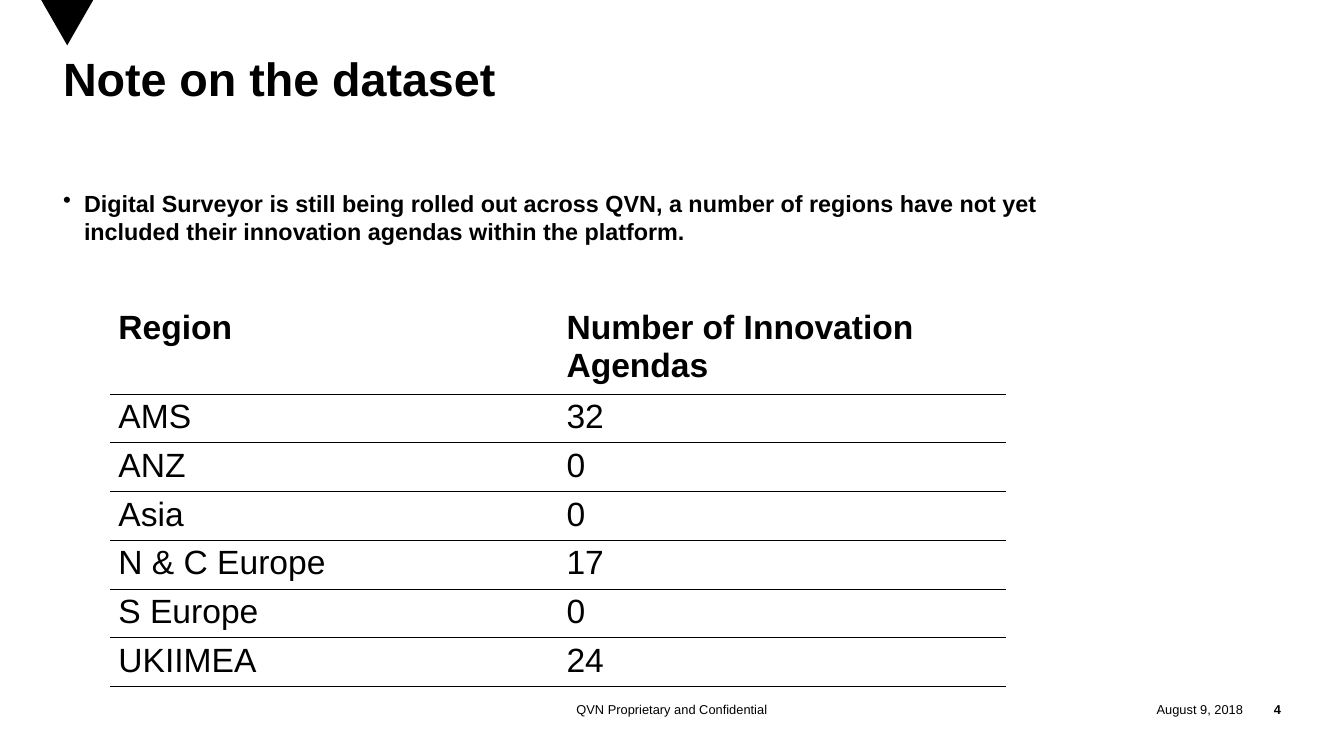
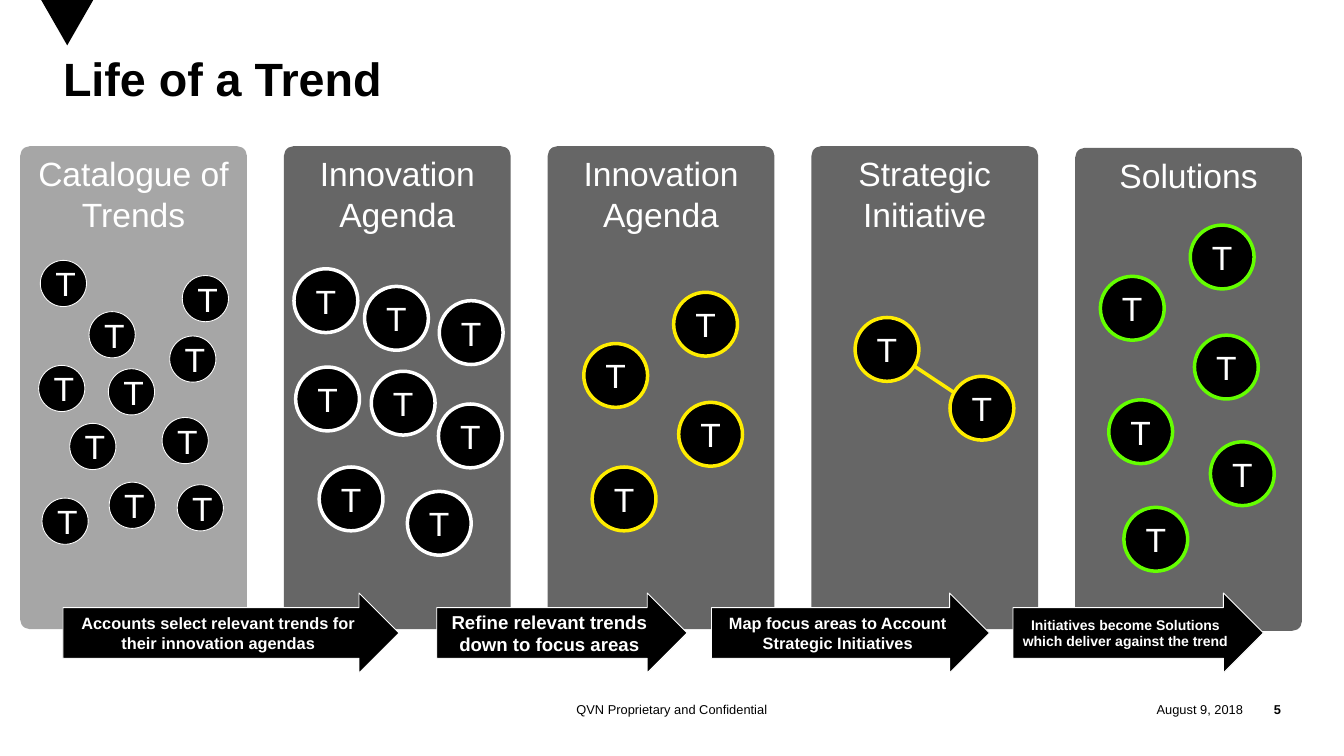
from dataclasses import dataclass

from lxml.etree import SubElement
from pptx import Presentation
from pptx.dml.color import RGBColor
from pptx.enum.shapes import MSO_CONNECTOR, MSO_SHAPE
from pptx.enum.text import MSO_ANCHOR, MSO_AUTO_SIZE, PP_ALIGN
from pptx.oxml.ns import qn
from pptx.util import Inches, Pt


@dataclass(frozen=True)
class Theme:
    font: str = "Arial"
    black: RGBColor = RGBColor(0x00, 0x00, 0x00)
    white: RGBColor = RGBColor(0xFF, 0xFF, 0xFF)
    light_gray: RGBColor = RGBColor(0xA6, 0xA6, 0xA6)
    dark_gray: RGBColor = RGBColor(0x66, 0x66, 0x66)
    yellow: RGBColor = RGBColor(0xFF, 0xED, 0x00)
    green: RGBColor = RGBColor(0x64, 0xFF, 0x00)
    title_size: float = 40
    large_size: float = 28.8
    body_size: float = 20
    footer_size: float = 11


theme = Theme()


def write(frame, text, size, color=theme.black, bold=False,
          align=PP_ALIGN.LEFT, anchor=MSO_ANCHOR.TOP, inset=None):
    frame.word_wrap = True
    frame.vertical_anchor = anchor
    if inset is not None:
        frame.margin_left = frame.margin_right = Inches(inset)
        frame.margin_top = frame.margin_bottom = Inches(inset)
    frame.text = text
    paragraph = frame.paragraphs[0]
    paragraph.alignment = align
    paragraph.font.name = theme.font
    paragraph.font.size = Pt(size)
    paragraph.font.bold = bold
    paragraph.font.color.rgb = color
    return paragraph


def paint(shape, fill, outline=None, width=0.75):
    shape.shadow.inherit = False
    shape.fill.solid()
    shape.fill.fore_color.rgb = fill
    if outline is None:
        shape.line.fill.background()
    else:
        shape.line.color.rgb = outline
        shape.line.width = Pt(width)


prs = Presentation()
prs.slide_width = Inches(16)
prs.slide_height = Inches(9)
title_only = prs.slide_layouts[5]

slides = []
for heading, number in (("Note on the dataset", "4"), ("Life of a Trend", "5")):
    slide = prs.slides.add_slide(title_only)
    slides.append(slide)

    outline = slide.shapes.build_freeform(Inches(0.49), 0, scale=1.0)
    outline.add_line_segments([(Inches(0.8), Inches(0.54)), (Inches(1.11), 0)])
    paint(outline.convert_to_shape(), theme.black)

    title = slide.shapes.title
    title.left, title.top = Inches(0.75), Inches(0.7)
    title.width, title.height = Inches(14.5), Inches(1.55)
    title.text_frame.auto_size = MSO_AUTO_SIZE.NONE
    write(title.text_frame, heading, theme.title_size, bold=True, inset=0).line_spacing = 0.85

    for left, width, text, bold, align in (
        (13.01, 1.79, "August 9, 2018", False, PP_ALIGN.RIGHT),
        (14.8, 0.45, number, True, PP_ALIGN.RIGHT),
        (5.25, 5.5, "QVN Proprietary and Confidential", False, PP_ALIGN.CENTER),
    ):
        footer = slide.shapes.add_textbox(Inches(left), Inches(8.29), Inches(width), Inches(0.3))
        write(footer.text_frame, text, theme.footer_size, bold=bold,
              align=align, anchor=MSO_ANCHOR.MIDDLE, inset=0)

dataset_slide, trend_slide = slides

note = dataset_slide.shapes.add_textbox(Inches(0.75), Inches(2.25), Inches(12.25), Inches(5.6))
bullet = write(
    note.text_frame,
    "Digital Surveyor is still being rolled out across QVN, a number of regions "
    "have not yet included their innovation agendas within the platform.",
    theme.body_size, bold=True, inset=0)
bullet.space_before = Pt(12)
bullet_format = bullet._p.get_or_add_pPr()
bullet_format.set("marL", str(Inches(0.25)))
bullet_format.set("indent", str(Inches(-0.25)))
SubElement(bullet_format, qn("a:buChar"), char="•")

agenda_counts = (
    ("Region", "Number of Innovation Agendas"),
    ("AMS", "32"),
    ("ANZ", "0"),
    ("Asia", "0"),
    ("N & C Europe", "17"),
    ("S Europe", "0"),
    ("UKIIMEA", "24"),
)
agenda_frame = dataset_slide.shapes.add_table(
    len(agenda_counts), 2, Inches(1.31), Inches(3.63), Inches(10.67), Inches(2.84))
agenda_table = agenda_frame.table
agenda_table.horz_banding = False
no_style_no_grid = "{2D5ABB26-0587-4C30-8999-92F81FD0307C}"
next(agenda_frame.element.iter(qn("a:tableStyleId"))).text = no_style_no_grid
for row_index, entries in enumerate(agenda_counts):
    agenda_table.rows[row_index].height = Inches(0.41)
    for column_index, entry in enumerate(entries):
        cell = agenda_table.cell(row_index, column_index)
        write(cell.text_frame, entry, theme.large_size, bold=row_index == 0)
        cell_format = cell._tc.get_or_add_tcPr()
        for edge in ("a:lnT", "a:lnB") if row_index else ("a:lnB",):
            border = SubElement(cell_format, qn(edge), w=str(Pt(0.5)))
            border_fill = SubElement(border, qn("a:solidFill"))
            SubElement(border_fill, qn("a:srgbClr"), val=str(theme.black))
        cell.fill.background()

stages = (
    ("Catalogue of Trends", 1.74, theme.light_gray, theme.white, 0.55, 0.75, (
        (1.06, 3.71), (0.83, 5.04), (1.29, 4.39), (0.5, 5.93), (1.3, 5.74), (2.02, 4),
        (0.48, 3.1), (0.46, 4.35), (2.11, 5.77), (1.93, 4.97), (2.17, 3.28))),
    ("Innovation Agenda", 1.74, theme.dark_gray, theme.white, 0.76, 3, (
        (3.5, 3.2), (3.52, 4.37), (4.42, 4.42), (3.8, 5.56),
        (4.85, 5.85), (4.34, 3.41), (5.22, 4.81), (5.23, 3.58))),
    ("Innovation Agenda", 1.74, theme.dark_gray, theme.yellow, 0.76, 3, (
        (6.95, 4.09), (7.05, 5.56), (8.08, 4.79), (8.02, 3.48))),
    ("Strategic Initiative", 1.74, theme.dark_gray, theme.yellow, 0.76, 3, (
        (10.18, 3.78), (11.31, 4.48))),
    ("Solutions", 1.76, theme.dark_gray, theme.green, 0.76, 3, (
        (13.1, 3.29), (13.2, 4.76), (14.22, 3.99),
        (14.17, 2.68), (13.38, 6.04), (14.41, 5.26))),
)
for index, (stage, top, fill, ring, diameter, ring_width, trends) in enumerate(stages):
    panel = trend_slide.shapes.add_shape(
        MSO_SHAPE.ROUNDED_RECTANGLE,
        Inches(0.24 + 3.14 * index), Inches(top), Inches(2.7), Inches(5.75))
    panel.adjustments[0] = 0.043
    paint(panel, fill)
    write(panel.text_frame, stage, theme.large_size, theme.white, align=PP_ALIGN.CENTER)

    if stage == "Strategic Initiative":
        trend_link = trend_slide.shapes.add_connector(
            MSO_CONNECTOR.STRAIGHT, Inches(10.6), Inches(4.17), Inches(11.7), Inches(4.9))
        trend_link.line.color.rgb = ring
        trend_link.line.width = Pt(ring_width)
        SubElement(trend_link.element.spPr, qn("a:effectLst"))

    for trend_left, trend_top in trends:
        trend = trend_slide.shapes.add_shape(
            MSO_SHAPE.OVAL, Inches(trend_left), Inches(trend_top),
            Inches(diameter), Inches(diameter))
        paint(trend, theme.black, ring, ring_width)
        write(trend.text_frame, "T", theme.large_size, theme.white,
              align=PP_ALIGN.CENTER, anchor=MSO_ANCHOR.MIDDLE)

for left, width, size, step in (
    (0.75, 4, 14, "Accounts select relevant trends for their innovation agendas"),
    (5.2, 2.98, 16, "Refine relevant trends down to focus areas"),
    (8.47, 3.31, 14, "Map focus areas to Account Strategic Initiatives"),
    (12.06, 2.98, 12, "Initiatives become Solutions which deliver against the trend"),
):
    arrow = trend_slide.shapes.add_shape(
        MSO_SHAPE.RIGHT_ARROW, Inches(left), Inches(7.06), Inches(width), Inches(0.95))
    arrow.adjustments[0] = 0.634
    paint(arrow, theme.black, theme.white)
    write(arrow.text_frame, step, size, theme.white, bold=True,
          align=PP_ALIGN.CENTER, anchor=MSO_ANCHOR.MIDDLE)

prs.save("out.pptx")
